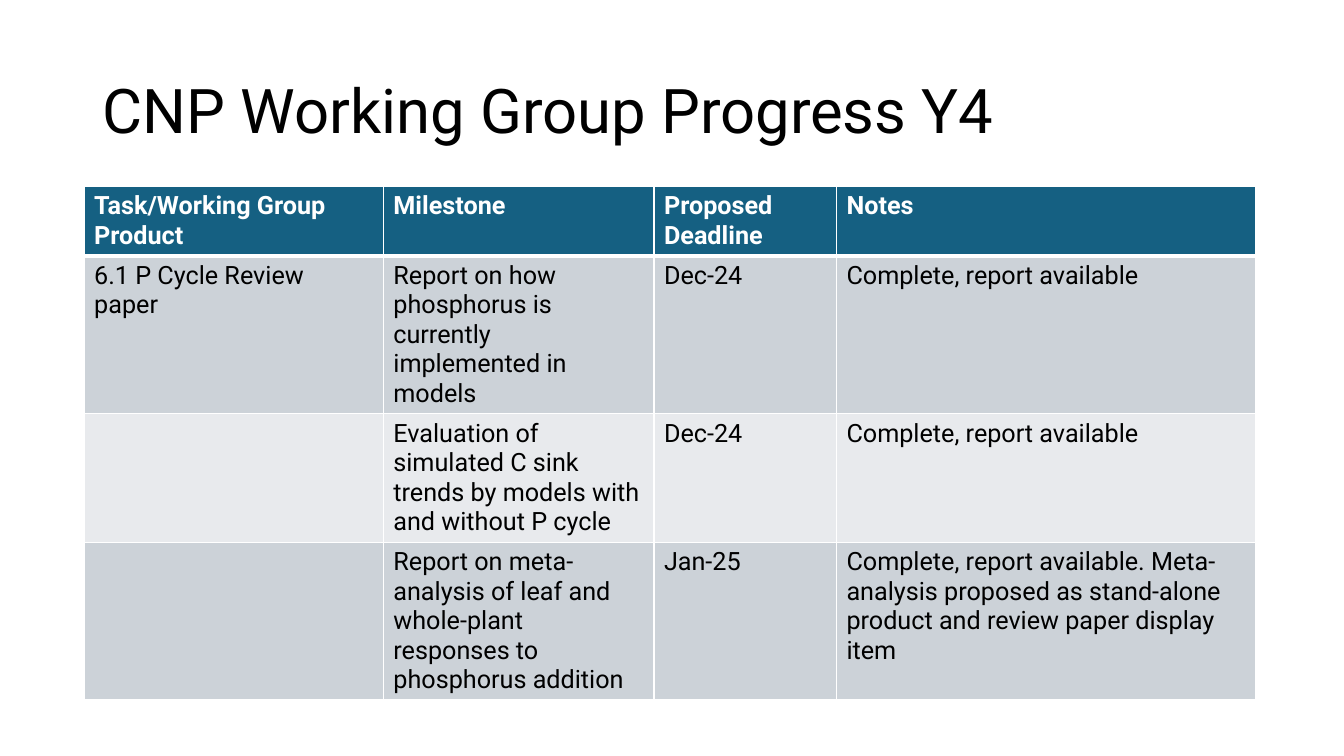
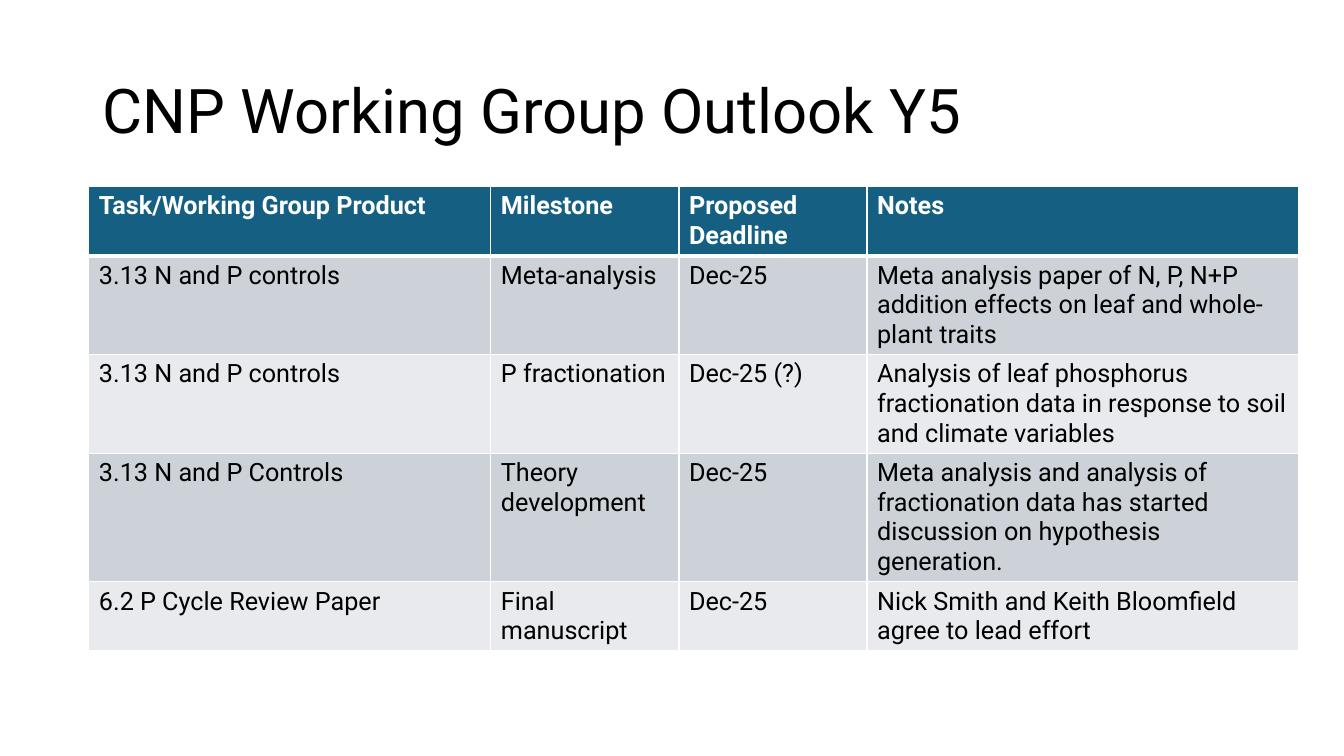
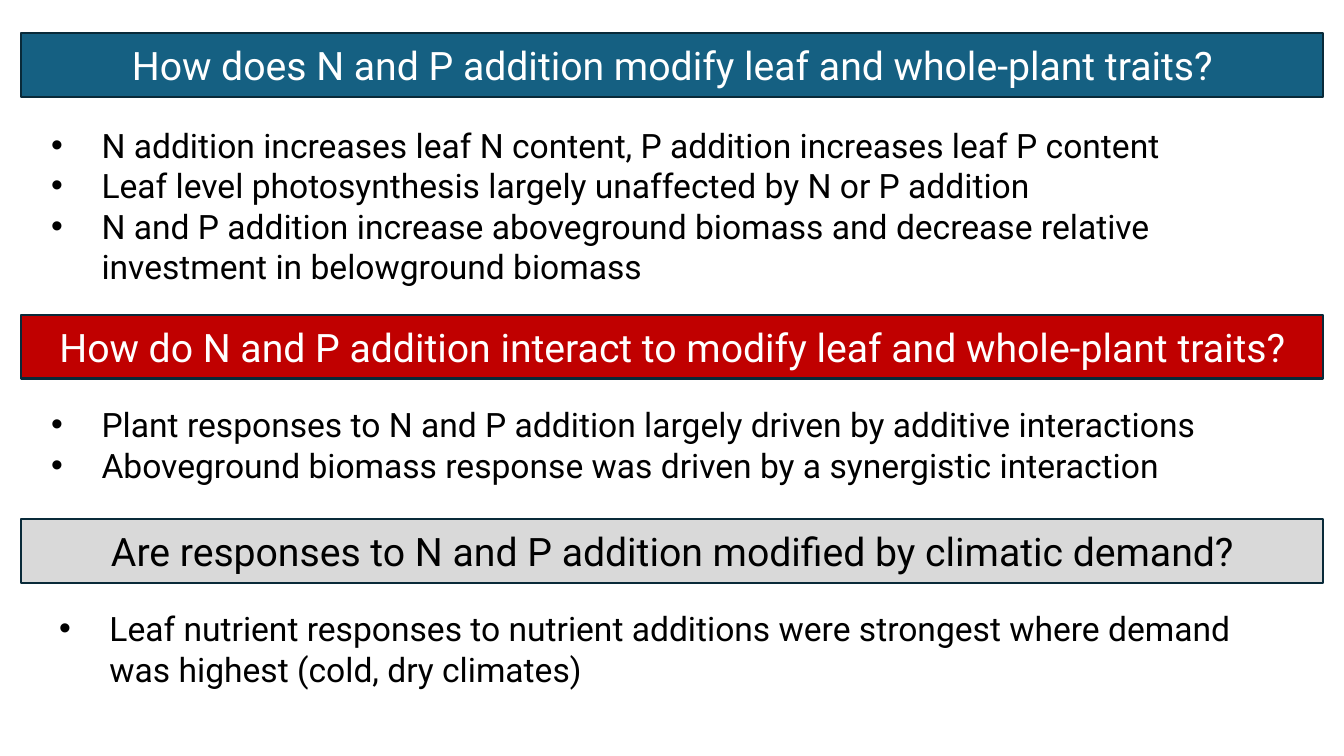
import pptx
import pptx.dml.color
import pptx.enum.shapes
import pptx.enum.text
import pptx.oxml.ns
import pptx.util
from lxml import etree

Cm = pptx.util.Cm
Pt = pptx.util.Pt
RGBColor = pptx.dml.color.RGBColor
Align = pptx.enum.text.PP_ALIGN
Anchor = pptx.enum.text.MSO_ANCHOR
AutoSize = pptx.enum.text.MSO_AUTO_SIZE
qn = pptx.oxml.ns.qn

FONT = "Roboto"
BLACK = RGBColor(0x00, 0x00, 0x00)
WHITE = RGBColor(0xFF, 0xFF, 0xFF)
BLUE = RGBColor(0x15, 0x60, 0x82)
RED = RGBColor(0xC0, 0x00, 0x00)
GREY = RGBColor(0xD9, 0xD9, 0xD9)
OUTLINE = RGBColor(0x09, 0x2A, 0x39)
ROW_FILLS = (RGBColor(0xCC, 0xD2, 0xD8), RGBColor(0xE8, 0xEA, 0xED))

HEADER = ("Task/Working Group Product", "Milestone", "Proposed Deadline", "Notes")
TABLE_SLIDES = [
    {
        "title": "CNP Working Group Progress Y4",
        "left": 2.12,
        "columns": (7.54, 6.82, 4.6, 10.57),
        "rows": [
            ("6.1 P Cycle Review paper",
             "Report on how phosphorus is currently implemented in models",
             "Dec-24", "Complete, report available"),
            ("",
             "Evaluation of simulated C sink trends by models with and without P cycle",
             "Dec-24", "Complete, report available"),
            ("",
             "Report on meta-analysis of leaf and whole-plant responses to "
             "phosphorus addition",
             "Jan-25",
             "Complete, report available. Meta-analysis proposed as stand-alone "
             "product and review paper display item"),
        ],
    },
    {
        "title": "CNP Working Group Outlook Y5",
        "left": 2.24,
        "columns": (10.13, 4.74, 4.74, 10.87),
        "rows": [
            ("3.13 N and P controls", "Meta-analysis", "Dec-25",
             "Meta analysis paper of N, P, N+P addition effects on leaf and "
             "whole-plant traits"),
            ("3.13 N and P controls", "P fractionation", "Dec-25 (?)",
             "Analysis of leaf phosphorus fractionation data in response to soil "
             "and climate variables"),
            ("3.13 N and P Controls", "Theory development", "Dec-25",
             "Meta analysis and analysis of fractionation data has started "
             "discussion on hypothesis generation."),
            ("6.2 P Cycle Review Paper", "Final manuscript", "Dec-25",
             "Nick Smith and Keith Bloomfield agree to lead effort"),
        ],
    },
]

QUESTIONS = [
    {
        "question": "How does N and P addition modify leaf and whole-plant traits?",
        "fill": BLUE, "color": WHITE, "top": 0.84,
        "answers_at": (1.04, 3.02), "answers_height": 4.37,
        "answers": [
            "N addition increases leaf N content, P addition increases leaf P content",
            "Leaf level photosynthesis largely unaffected by N or P addition",
            "N and P addition increase aboveground biomass and decrease relative "
            "investment in belowground biomass",
        ],
    },
    {
        "question": "How do N and P addition interact to modify leaf and whole-plant traits?",
        "fill": RED, "color": WHITE, "top": 7.99 - 0.07 + 0.01,
        "answers_at": (1.04, 10.06), "answers_height": 2.31,
        "answers": [
            "Plant responses to N and P addition largely driven by additive interactions",
            "Aboveground biomass response was driven by a synergistic interaction",
        ],
    },
    {
        "question": "Are responses to N and P addition modified by climatic demand?",
        "fill": GREY, "color": BLACK, "top": 13.08,
        "answers_at": (1.24, 15.2), "answers_height": 2.31,
        "answers": [
            "Leaf nutrient responses to nutrient additions were strongest where "
            "demand was highest (cold, dry climates)",
        ],
    },
]
QUESTIONS[1]["top"] = 7.93


def write_text(text_frame, lines, size, color=BLACK, bold=False,
               align=Align.LEFT, line_spacing=None, bullet=False):
    for index, line in enumerate(lines):
        paragraph = text_frame.paragraphs[0] if index == 0 else text_frame.add_paragraph()
        if bullet:
            properties = paragraph._p.get_or_add_pPr()
            properties.set("marL", str(Cm(1.27)))
            properties.set("indent", str(-Cm(1.27)))
            etree.SubElement(properties, qn("a:buFont"), typeface="Arial")
            etree.SubElement(properties, qn("a:buChar"), char="•")
        paragraph.alignment = align
        if line_spacing:
            paragraph.line_spacing = line_spacing
        run = paragraph.add_run()
        run.text = line
        run.font.name = FONT
        run.font.size = Pt(size)
        run.font.bold = bold
        run.font.color.rgb = color


def add_title(slide, text):
    title = slide.shapes.title
    title.left, title.top, title.width, title.height = Cm(2.33), Cm(1.01), Cm(29.21), Cm(3.68)
    title.text_frame.auto_size = AutoSize.NONE
    title.text_frame.vertical_anchor = Anchor.MIDDLE
    write_text(title.text_frame, [text], size=44, line_spacing=0.9)


def set_borders(cell, **widths):
    """Draw white borders; widths maps L, R, T and B to points."""
    properties = cell._tc.get_or_add_tcPr()
    for side, width in widths.items():
        line = etree.SubElement(properties, qn(f"a:ln{side}"), w=str(Pt(width)))
        fill = etree.SubElement(line, qn("a:solidFill"))
        etree.SubElement(fill, qn("a:srgbClr"), val=str(WHITE))


def add_milestone_table(slide, left, columns, rows):
    all_rows = [HEADER, *rows]
    row_height = Cm(1.03)
    table = slide.shapes.add_table(
        len(all_rows), len(columns), Cm(left), Cm(4.7),
        Cm(sum(columns)), row_height * len(all_rows)).table
    table.horz_banding = False
    for column, width in zip(table.columns, columns):
        column.width = Cm(width)
    for row_index, texts in enumerate(all_rows):
        table.rows[row_index].height = row_height
        is_header = row_index == 0
        for column_index, text in enumerate(texts):
            cell = table.cell(row_index, column_index)
            set_borders(cell, L=1, R=1, T=3 if row_index == 1 else 1,
                        B=3 if is_header else 1)
            cell.fill.solid()
            cell.fill.fore_color.rgb = BLUE if is_header else ROW_FILLS[(row_index - 1) % 2]
            if text:
                write_text(cell.text_frame, [text], size=18, bold=is_header,
                           color=WHITE if is_header else BLACK)


def add_banner(slide, text, top, fill, color):
    banner = slide.shapes.add_shape(
        pptx.enum.shapes.MSO_SHAPE.RECTANGLE, Cm(0.53), Cm(top), Cm(32.82), Cm(1.61))
    banner.shadow.inherit = False
    banner.fill.solid()
    banner.fill.fore_color.rgb = fill
    banner.line.color.rgb = OUTLINE
    banner.line.width = Pt(1.5)
    banner.text_frame.vertical_anchor = Anchor.MIDDLE
    write_text(banner.text_frame, [text], size=28, color=color, align=Align.CENTER)


def add_answers(slide, answers, left, top, height):
    box = slide.shapes.add_textbox(Cm(left), Cm(top), Cm(31.39), Cm(height))
    box.text_frame.word_wrap = True
    box.text_frame.auto_size = AutoSize.SHAPE_TO_FIT_TEXT
    write_text(box.text_frame, answers, size=24, bullet=True)


def main():
    presentation = pptx.Presentation()
    presentation.slide_width = Cm(33.87)
    presentation.slide_height = Cm(19.05)
    title_only, blank = presentation.slide_layouts[5], presentation.slide_layouts[6]

    for content in TABLE_SLIDES:
        slide = presentation.slides.add_slide(title_only)
        add_title(slide, content["title"])
        add_milestone_table(slide, content["left"], content["columns"], content["rows"])

    slide = presentation.slides.add_slide(blank)
    for section in QUESTIONS:
        add_banner(slide, section["question"], section["top"],
                   section["fill"], section["color"])
        add_answers(slide, section["answers"], *section["answers_at"],
                    section["answers_height"])

    presentation.save("out.pptx")


if __name__ == "__main__":
    main()
